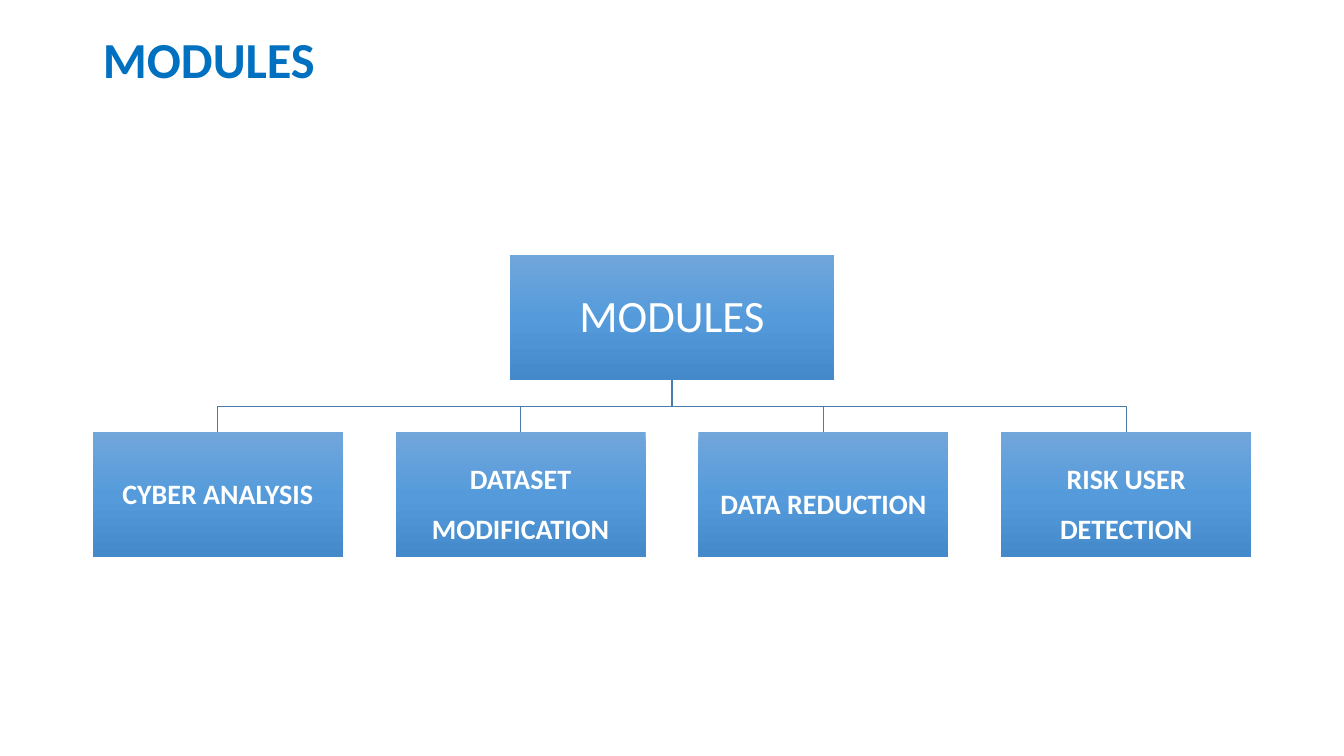
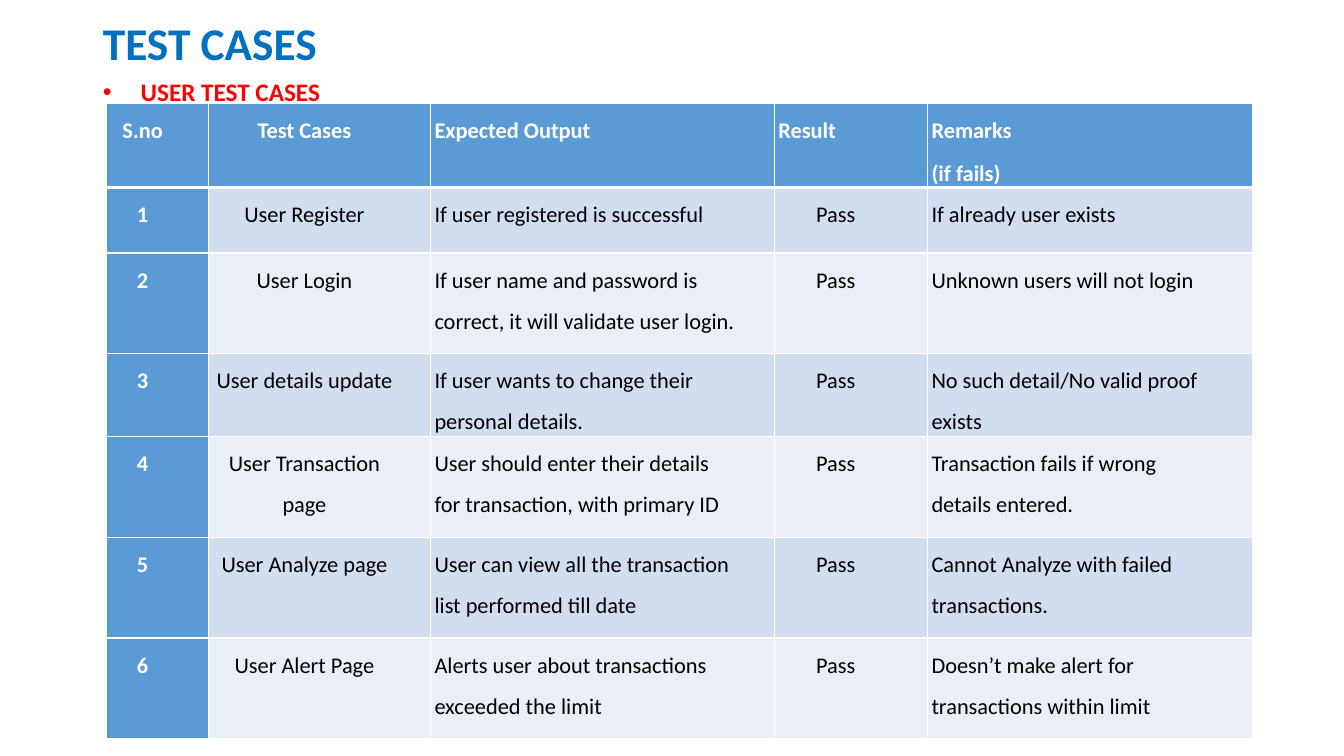
"""Build two slides: a module hierarchy and a table of user test cases."""
from copy import deepcopy
from dataclasses import dataclass

from lxml.etree import fromstring
from pptx import Presentation
from pptx.dml.color import RGBColor
from pptx.enum.shapes import MSO_SHAPE as Preset
from pptx.enum.text import MSO_ANCHOR as Anchor, MSO_AUTO_SIZE as AutoSize, PP_ALIGN as Align
from pptx.oxml.ns import nsdecls, qn
from pptx.util import Pt

PX = 9144


@dataclass(frozen=True)
class Theme:
    font: str = "Calibri"
    title: str = "0070C0"
    heading: str = "FF0000"
    white: str = "FFFFFF"
    black: str = "000000"
    accent: str = "5B9BD5"
    bands: tuple = ("D2DEEF", "EAEFF7")
    branch: str = "497CAB"
    gradient: tuple = ((0, "71A6DB"), (0.5, "559BDB"), (1, "448ACA"))
    root_size: float = 32
    module_size: float = 20
    heading_size: float = 18
    cell_size: float = 16


THEME = Theme()

MODULES = {
    "title": ("MODULES", 36, 28),
    "root": "MODULES",
    "children": [
        ("CYBER ANALYSIS", 0.9),
        ("DATASET MODIFICATION", 1.5),
        ("DATA REDUCTION", 1.5),
        ("RISK USER DETECTION", 1.5),
    ],
}
TREE = {"left": 92, "right": 1241, "root_top": 253, "child_top": 429,
        "root_width": 321, "child_width": 248, "height": 124}

TESTS = {
    "title": ("TEST CASES", 32.4, 12),
    "heading": "USER TEST CASES",
    "columns": [
        ("S.no", 101, Align.CENTER, Align.CENTER),
        ("Test Cases", 220, Align.CENTER, Align.CENTER),
        ("Expected Output", 341, Align.LEFT, Align.LEFT),
        ("Result", 152, Align.LEFT, Align.CENTER),
        ("Remarks\n(if fails)", 322, Align.LEFT, Align.LEFT),
    ],
    "heights": [83, 65, 100, 82, 100, 100, 100],
    "rows": [
        ("User Register", "If user registered is successful", "Pass",
         "If already user exists"),
        ("User Login",
         "If user name and password is correct, it will validate user login.",
         "Pass", "Unknown users will not login"),
        ("User details update", "If user wants to change their personal details.",
         "Pass", "No such detail/No valid proof exists"),
        ("User Transaction page",
         "User should enter their details for transaction, with primary ID",
         "Pass", "Transaction fails if wrong details entered."),
        ("User Analyze page",
         "User can view all the transaction list performed till date",
         "Pass", "Cannot Analyze with failed transactions."),
        ("User Alert Page", "Alerts user about transactions exceeded the limit",
         "Pass", "Doesn’t make alert for transactions within limit"),
    ],
}


def px(*lengths):
    return [round(length * PX) for length in lengths]


def apply(target, values):
    for name, value in values.items():
        setattr(target, name, value)


def write(frame, text, size, color, bold=False, **layout):
    frame.text = text
    for para in frame.paragraphs:
        apply(para, {"alignment": Align.LEFT, "line_spacing": 1.0,
                     "space_before": Pt(0), **layout})
        for span in para.runs:
            apply(span.font, {"name": THEME.font, "size": Pt(size), "bold": bold})
            span.font.color.rgb = RGBColor.from_string(color)


def place(holder, left, top, width, height):
    apply(holder, dict(zip(("left", "top", "width", "height"),
                           px(left, top, width, height))))
    apply(holder.text_frame, {"auto_size": AutoSize.NONE, "word_wrap": True})


def add_page(deck, layout, title):
    text, size, top = title
    page = deck.slides.add_slide(deck.slide_layouts[layout])
    holder = page.shapes.title
    place(holder, 92, top, 1150, 60)
    holder.text_frame.vertical_anchor = Anchor.MIDDLE
    write(holder.text_frame, text, size, THEME.title, True)
    return page


def add_branch(page, start, end):
    (x1, y1), (x2, y2) = start, end
    middle = (y1 + y2) / 2
    builder = page.shapes.build_freeform(*px(x1, y1))
    builder.add_line_segments([px(x1, middle), px(x2, middle), px(x2, y2)],
                              close=False)
    branch = builder.convert_to_shape()
    branch.shadow.inherit = False
    branch.fill.background()
    branch.line.color.rgb = RGBColor.from_string(THEME.branch)
    branch.line.width = Pt(1)


def add_module(page, left, top, width, text, size, bold, spacing):
    box = page.shapes.add_shape(Preset.RECTANGLE,
                                *px(left, top, width, TREE["height"]))
    box.shadow.inherit = False
    box.line.fill.background()
    box.fill.gradient()
    box.fill.gradient_angle = 270
    stops = next(box._element.iter(qn("a:gsLst")))
    stops.append(deepcopy(stops[0]))
    for stop, (position, color) in zip(box.fill.gradient_stops, THEME.gradient):
        stop.position = position
        stop.color.rgb = RGBColor.from_string(color)
    frame = box.text_frame
    apply(frame, {"word_wrap": True, "vertical_anchor": Anchor.MIDDLE})
    apply(frame, {f"margin_{side}": PX for side in ("left", "top", "right", "bottom")})
    write(frame, text, size, THEME.white, bold,
          alignment=Align.CENTER, line_spacing=spacing)


def build_modules(deck):
    page = add_page(deck, 5, MODULES["title"])
    children, width = MODULES["children"], TREE["child_width"]
    center = (TREE["left"] + TREE["right"]) / 2
    step = (TREE["right"] - TREE["left"] - width) / (len(children) - 1)
    lefts = [TREE["left"] + index * step for index in range(len(children))]
    for left in lefts:
        add_branch(page, (center, TREE["root_top"] + TREE["height"]),
                   (left + width / 2, TREE["child_top"]))
    add_module(page, center - TREE["root_width"] / 2, TREE["root_top"],
               TREE["root_width"], MODULES["root"], THEME.root_size, False, 0.9)
    for left, (text, spacing) in zip(lefts, children):
        add_module(page, left, TREE["child_top"], width, text,
                   THEME.module_size, True, spacing)


def add_borders(cell, top, bottom):
    properties = cell._tc.get_or_add_tcPr()
    widths = {"L": 1, "R": 1, "T": top, "B": bottom}
    for index, (side, width) in enumerate(widths.items()):
        properties.insert(index, fromstring(
            f'<a:ln{side} {nsdecls("a")} w="{Pt(width)}"><a:solidFill>'
            f'<a:srgbClr val="{THEME.white}"/></a:solidFill></a:ln{side}>'))


def fill_cell(cell, text, row, column, align):
    strong = row == 0 or column == 0
    color = THEME.accent if strong else THEME.bands[(row - 1) % 2]
    left, right = px(4, 34)
    apply(cell, {"margin_left": left, "margin_right": right,
                 "margin_top": 0, "margin_bottom": 0})
    cell.fill.solid()
    cell.fill.fore_color.rgb = RGBColor.from_string(color)
    add_borders(cell, 3 if row == 1 else 1, 3 if row == 0 else 1)
    write(cell.text_frame, text, THEME.cell_size,
          THEME.white if strong else THEME.black, strong,
          alignment=align, line_spacing=1.5, space_after=Pt(1))


def build_tests(deck):
    page = add_page(deck, 1, TESTS["title"])
    body = page.placeholders[1]
    place(body, 92, 71, 1150, 32)
    bullet = body.text_frame.paragraphs[0]._p.get_or_add_pPr()
    apply(body.text_frame, {"margin_bottom": 0})
    for name in ("marL", "indent"):
        bullet.set(name, "0")
    bullet.append(fromstring(f'<a:buNone {nsdecls("a")}/>'))
    write(body.text_frame, TESTS["heading"], THEME.heading_size, THEME.heading, True)

    heads, widths, head_aligns, body_aligns = zip(*TESTS["columns"])
    rows = [heads] + [(str(number), *cells)
                      for number, cells in enumerate(TESTS["rows"], 1)]
    table = page.shapes.add_table(
        len(rows), len(heads),
        *px(106, 103, sum(widths), sum(TESTS["heights"]))).table
    apply(table, {"first_row": False, "horz_banding": False})
    for column, width in zip(table.columns, px(*widths)):
        column.width = width
    for row, height in zip(table.rows, px(*TESTS["heights"])):
        row.height = height
    for row, texts in enumerate(rows):
        aligns = body_aligns if row else head_aligns
        for column, (text, align) in enumerate(zip(texts, aligns)):
            fill_cell(table.cell(row, column), text, row, column, align)


def main():
    deck = Presentation()
    deck.slide_width, deck.slide_height = px(1333, 750)
    build_modules(deck)
    build_tests(deck)
    deck.save("out.pptx")


if __name__ == "__main__":
    main()
